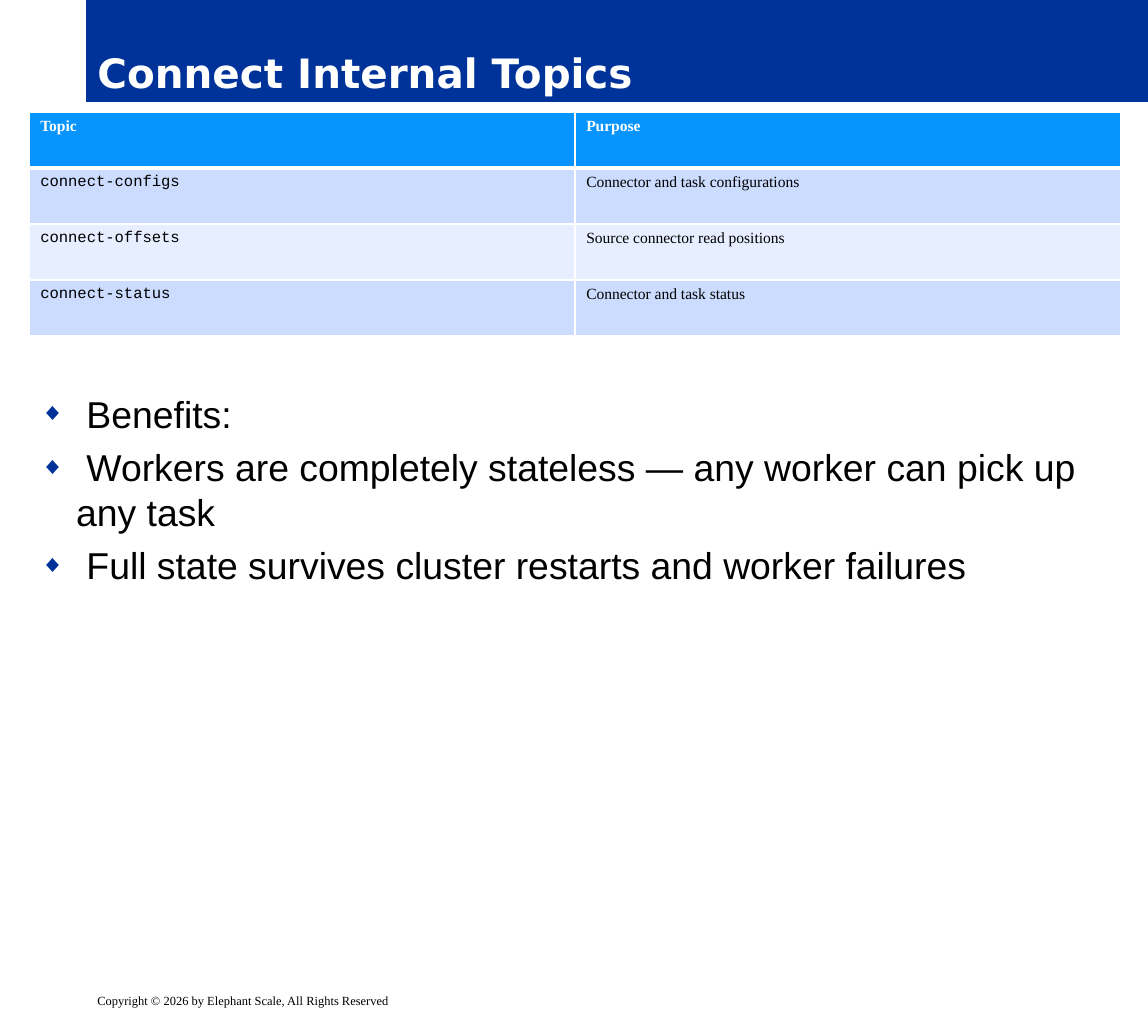
from lxml import etree
from pptx import Presentation
from pptx.dml.color import RGBColor
from pptx.enum import text as t
from pptx.oxml import ns
from pptx.util import Inches, Pt

NAVY, WHITE, BLACK = "003399", "FFFFFF", "000000"
SERIF, MONO = "Times New Roman", "Courier New"
ROWS = [
    ("Topic", "Purpose"),
    ("connect-configs", "Connector and task configurations"),
    ("connect-offsets", "Source connector read positions"),
    ("connect-status", "Connector and task status"),
]
POINTS = [
    " Benefits:",
    " Workers are completely stateless — any worker can pick up any task",
    " Full state survives cluster restarts and worker failures",
]


def paint(fmt, color):
    fmt.solid()
    fmt.fore_color.rgb = RGBColor.from_string(color)


def style(para, size, face, color, bold=False):
    for run in para.runs:
        font = run.font
        font.size, font.name, font.bold = Pt(size), face, bold
        paint(font.fill, color)


def place(shape, left, top, width, height):
    shape.left, shape.top = Inches(left), Inches(top)
    shape.width, shape.height = Inches(width), Inches(height)


def node(parent, tag, **attrs):
    return etree.SubElement(parent, ns.qn(tag), attrs)


def add_title(slide, words):
    title = slide.shapes.title
    place(title, 0.77, 0, 9.48, 0.91)
    paint(title.fill, NAVY)
    frame = title.text_frame
    frame.text = words
    frame.auto_size = t.MSO_AUTO_SIZE.NONE
    frame.vertical_anchor = t.MSO_ANCHOR.BOTTOM
    para = frame.paragraphs[0]
    para.alignment = t.PP_ALIGN.LEFT
    style(para, 26, "DejaVu Sans", WHITE, True)


def add_list(slide, points):
    body = slide.placeholders[1]
    place(body, 0.26, 3.44, 9.74, 5.12)
    frame = body.text_frame
    frame.text = "\n".join(points)
    frame.auto_size = t.MSO_AUTO_SIZE.NONE
    for i, para in enumerate(frame.paragraphs):
        para.space_before = Pt(5.5 if i else 0)
        props = para._p.get_or_add_pPr()
        props.set("marL", str(Inches(0.32)))
        props.set("indent", str(Inches(-0.32)))
        node(node(props, "a:buClr"), "a:srgbClr", val=NAVY)
        node(props, "a:buSzPct", val="65000")
        node(props, "a:buFont", typeface="Arial")
        node(props, "a:buChar", char="◆")
        style(para, 24, "Arial", BLACK)


def edge(cell, side, width):
    line = node(cell._tc.get_or_add_tcPr(), "a:ln" + side, w=str(Pt(width)))
    node(node(line, "a:solidFill"), "a:srgbClr", val=WHITE)


def add_grid(slide, rows):
    grid = slide.shapes.add_table(
        len(rows), 2, Inches(0.26), Inches(1), Inches(9.75), Inches(2)
    ).table
    fills = ["0794FF", "CCDCFF", "E7EEFF", "CCDCFF"]
    for r, row in enumerate(rows):
        for c, words in enumerate(row):
            cell = grid.cell(r, c)
            cell.text = words
            head = r == 0
            face = SERIF if head or c else MONO
            style(cell.text_frame.paragraphs[0], 10, face,
                  WHITE if head else BLACK, head)
            for side in "LRTB":
                thick = (head and side == "B") or (r == 1 and side == "T")
                edge(cell, side, 3 if thick else 1)
            paint(cell.fill, fills[r])


def add_footer(slide, words):
    box = slide.shapes.add_textbox(
        Inches(0.77), Inches(8.82), Inches(9.75), Inches(0.25))
    frame = box.text_frame
    frame.text = words
    frame.word_wrap = False
    frame.auto_size = t.MSO_AUTO_SIZE.SHAPE_TO_FIT_TEXT
    style(frame.paragraphs[0], 8, SERIF, BLACK)


def main():
    deck = Presentation()
    deck.slide_width, deck.slide_height = Inches(10.25), Inches(9.07)
    slide = deck.slides.add_slide(deck.slide_layouts[1])
    add_title(slide, "Connect Internal Topics")
    add_list(slide, POINTS)
    add_footer(slide, "Copyright © 2026 by Elephant Scale, All Rights Reserved")
    add_grid(slide, ROWS)
    deck.save("out.pptx")


if __name__ == "__main__":
    main()
